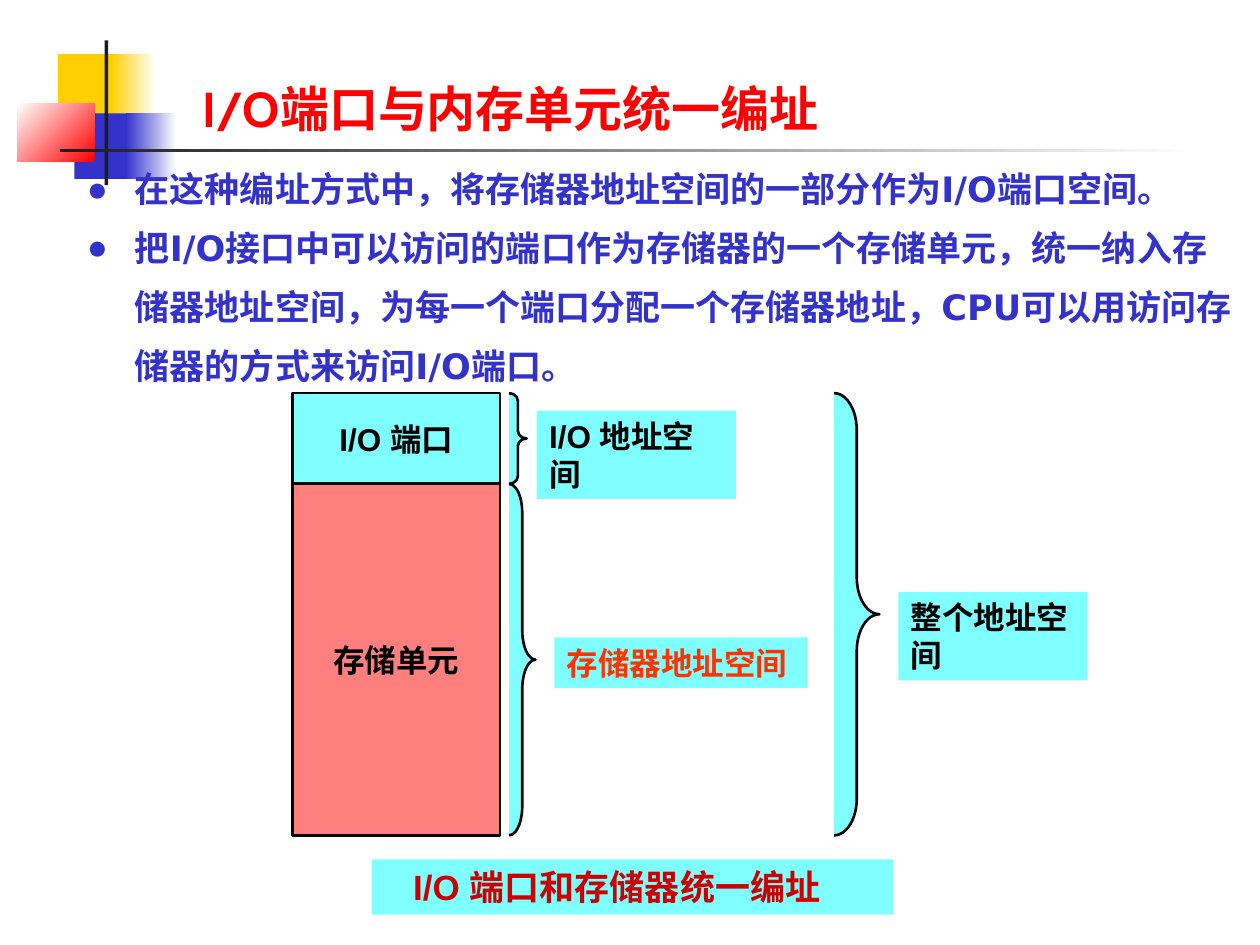
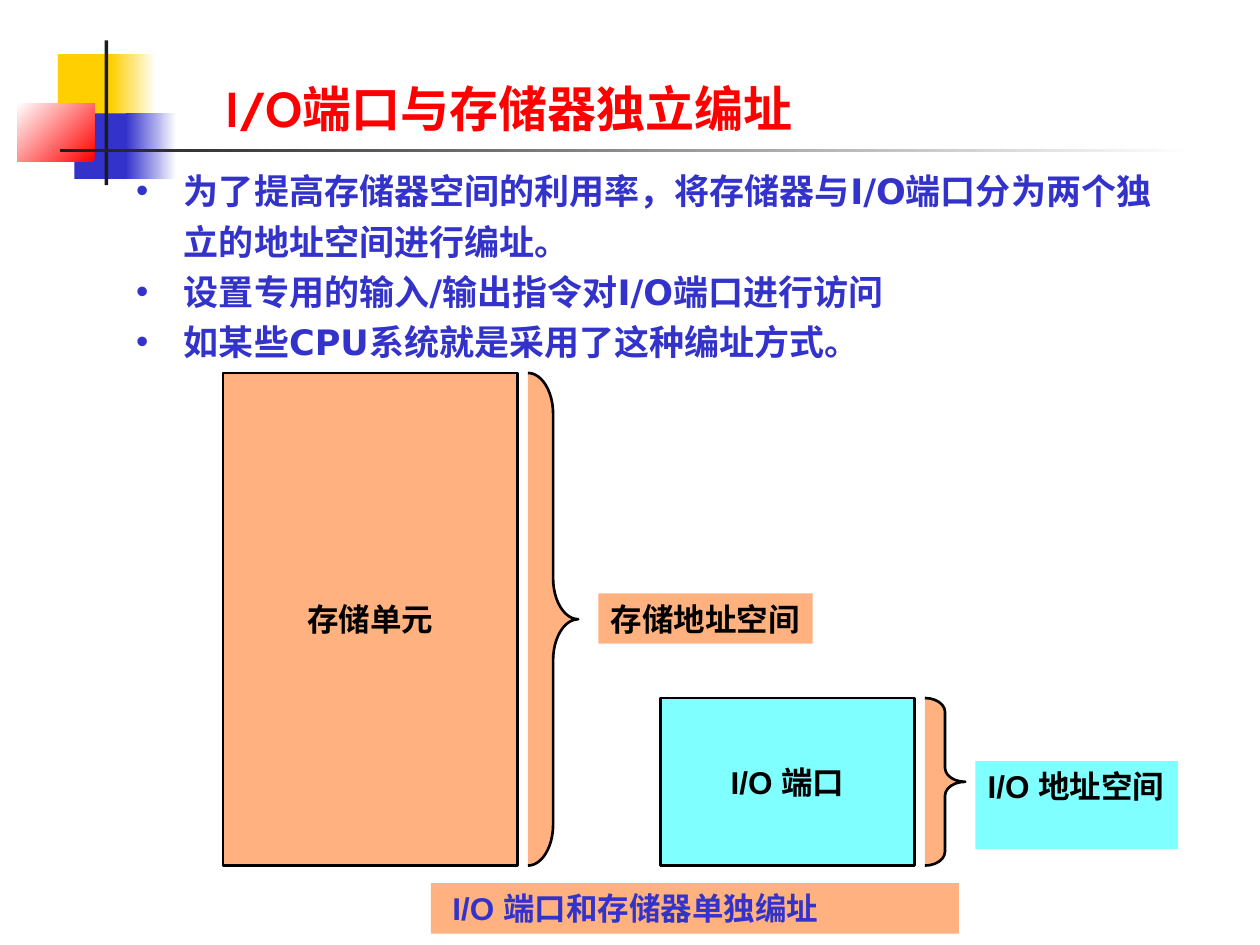
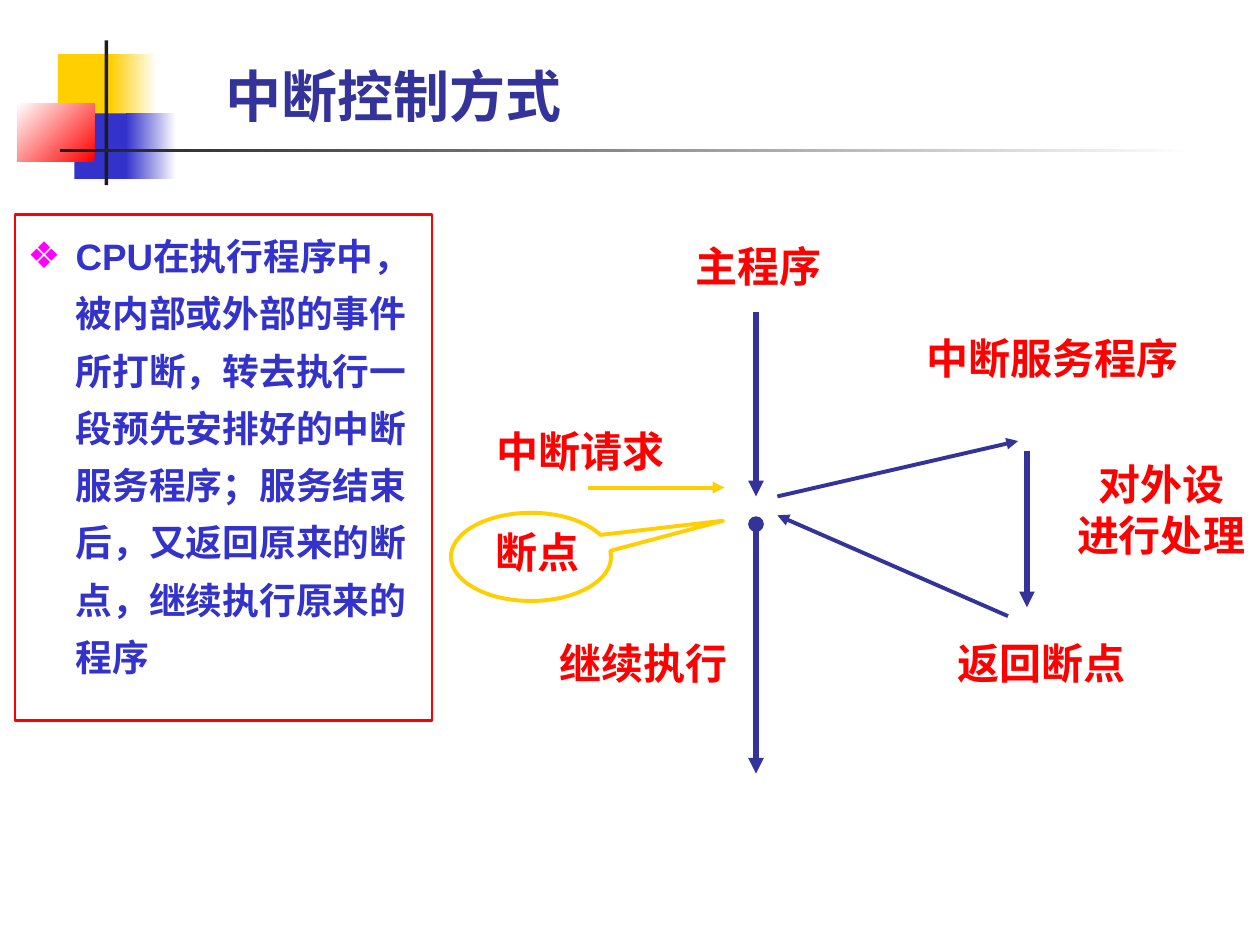
"""Build three slides on I/O port addressing and interrupt control."""
from lxml.etree import SubElement
from pptx import Presentation
from pptx.dml.color import RGBColor
from pptx.enum.shapes import MSO_CONNECTOR, MSO_SHAPE
from pptx.enum.text import MSO_ANCHOR, MSO_AUTO_SIZE, PP_ALIGN
from pptx.oxml.ns import qn
from pptx.util import Inches, Pt

RECTANGLE = MSO_SHAPE.RECTANGLE
RIGHT_BRACE = MSO_SHAPE.RIGHT_BRACE
CALLOUT = MSO_SHAPE.OVAL_CALLOUT
STRAIGHT = MSO_CONNECTOR.STRAIGHT
TOP, MIDDLE, BOTTOM = MSO_ANCHOR.TOP, MSO_ANCHOR.MIDDLE, MSO_ANCHOR.BOTTOM
LEFT, CENTER = PP_ALIGN.LEFT, PP_ALIGN.CENTER
NO_FIT = MSO_AUTO_SIZE.NONE

WHITE = RGBColor(0xFF, 0xFF, 0xFF)
BLACK = RGBColor(0, 0, 0)
INK = RGBColor(0x1C, 0x1C, 0x1C)
YELLOW = RGBColor(0xFF, 0xCF, 0x01)
BLUE = RGBColor(0x33, 0x33, 0xCC)
NAVY = RGBColor(0x33, 0x33, 0x99)
RED = RGBColor(0xFF, 0, 0)
DARK_RED = RGBColor(0xCC, 0, 0)
ORANGE_RED = RGBColor(0xFF, 0x33, 0)
ORANGE = RGBColor(0xFF, 0x66, 0)
CYAN = RGBColor(0, 0xFF, 0xFF)
MAGENTA = RGBColor(0xFF, 0, 0xFF)

CJK_FONT = "Noto Sans CJK SC"
ARIAL, CABIN, DEJAVU = "Arial", "Cabin", "DejaVu Sans"


def place(shape, at):
    for name, value in zip(("left", "top", "width", "height"), at):
        setattr(shape, name, Inches(value))


class Deck:
    def __init__(self):
        self.deck = Presentation()
        self.deck.slide_width = Inches(10)
        self.deck.slide_height = Inches(7.5)
        self.page = None

    def add_page(self):
        self.page = self.deck.slides.add_slide(self.deck.slide_layouts[1])

    def set_text(self, shape, text, font, size, color, align=LEFT, anchor=TOP,
                 wrap=True, indent=0.1):
        frame = shape.text_frame
        settings = {
            "auto_size": NO_FIT, "word_wrap": wrap, "vertical_anchor": anchor,
            "margin_left": Inches(indent), "margin_right": Inches(0.1),
            "margin_top": Inches(0.05), "margin_bottom": Inches(0.05),
        }
        for name, value in settings.items():
            setattr(frame, name, value)
        for number, line in enumerate(text.split("\n")):
            para = frame.add_paragraph() if number else frame.paragraphs[0]
            para.alignment = align
            para.space_before = Pt(0)
            span = para.add_run()
            span.text = line
            for name, value in {"name": font, "size": Pt(size), "bold": True}.items():
                setattr(span.font, name, value)
            span.font.color.rgb = color
            SubElement(span._r.get_or_add_rPr(), qn("a:ea"), typeface=CJK_FONT)

    def shape(self, kind, at, fill=None, line=None, weight=1.5, alpha=None):
        shape = self.page.shapes.add_shape(kind, *map(Inches, at))
        shape.shadow.inherit = False
        if fill is None:
            shape.fill.background()
        else:
            shape.fill.solid()
            shape.fill.fore_color.rgb = fill
        if alpha:
            color = shape.element.spPr.find(qn("a:solidFill"))[0]
            SubElement(color, qn("a:alpha"), val=str(alpha * 1000))
        if line is None:
            shape.line.fill.background()
        else:
            shape.line.color.rgb = line
            shape.line.width = Pt(weight)
        return shape

    def fade(self, at, start, end, angle=180):
        shape = self.shape(RECTANGLE, at, WHITE)
        shape.fill.gradient()
        shape.fill.gradient_angle = angle
        for stop, color in zip(shape.fill.gradient_stops, (start, end)):
            stop.color.rgb = color
        return shape

    def decorate_master(self):
        marks = [
            self.shape(RECTANGLE, (0.46, 0.43, 0.48, 0.52), YELLOW),
            self.fade((0.88, 0.43, 0.36, 0.52), WHITE, YELLOW),
            self.shape(RECTANGLE, (0.59, 0.9, 0.46, 0.52), BLUE),
            self.fade((1, 0.9, 0.4, 0.52), WHITE, BLUE),
            self.fade((0.14, 0.82, 0.61, 0.46), RED, WHITE, 135),
            self.shape(RECTANGLE, (0.83, 0.32, 0.03, 1.15), INK),
            self.fade((0.48, 1.18, 9, 0.03), WHITE, INK),
        ]
        tree = self.deck.slide_master.shapes.element
        for number, mark in enumerate(marks, 20):
            mark.element.xpath(".//p:cNvPr")[0].set("id", str(number))
            tree.append(mark.element)

    def title(self, text, at, font=CABIN, size=28, color=RED, anchor=BOTTOM):
        title = self.page.shapes.title
        place(title, at)
        self.set_text(title, text, font, size, color, anchor=anchor)

    def bullets(self, lines, at, spacing, char, bullet_color=BLUE, font=DEJAVU, size=20):
        body = self.page.placeholders[1]
        place(body, at)
        self.set_text(body, "\n".join(lines), font, size, BLUE)
        for para in body.text_frame.paragraphs:
            para.line_spacing = spacing
            props = para._p.get_or_add_pPr()
            props.set("marL", str(Inches(0.38)))
            props.set("indent", str(-Inches(0.38)))
            color = SubElement(props, qn("a:buClr"))
            SubElement(color, qn("a:srgbClr"), val=str(bullet_color))
            SubElement(props, qn("a:buChar"), char=char)
        return body

    def block(self, text, at, fill):
        block = self.shape(RECTANGLE, at, fill, BLACK, alpha=50)
        self.set_text(block, text, ARIAL, 18, BLACK, CENTER, MIDDLE, wrap=False)

    def label(self, text, at, fill, color=BLACK, size=18, indent=0.1):
        label = self.shape(RECTANGLE, at, fill, alpha=50)
        self.set_text(label, text, ARIAL, size, color, indent=indent)

    def brace(self, at, fill):
        brace = self.shape(RIGHT_BRACE, at, fill, BLACK, alpha=50)
        brace.adjustments[0] = at[3] / at[2] / 12

    def caption(self, text, at):
        box = self.page.shapes.add_textbox(*map(Inches, at))
        self.set_text(box, text, CABIN, 24, RED, CENTER, MIDDLE, wrap=False)

    def arrow(self, start, end, color=NAVY, weight=2.25, head=None):
        arrow = self.page.shapes.add_connector(STRAIGHT, *map(Inches, start + end))
        arrow.line.color.rgb = color
        arrow.line.width = Pt(weight)
        line = arrow.element.spPr.find(qn("a:ln"))
        if head:
            SubElement(line, qn("a:headEnd"), type=head)
        SubElement(line, qn("a:tailEnd"), type="triangle")
        SubElement(arrow.element.spPr, qn("a:effectLst"))


def unified_addressing(deck):
    deck.title("I/O端口与内存单元统一编址", (1.51, 0.52, 5.38, 0.62))
    deck.bullets([
        "在这种编址方式中，将存储器地址空间的一部分作为I/O端口空间。",
        "把I/O接口中可以访问的端口作为存储器的一个存储单元，统一纳入存储器地址空间，"
        "为每一个端口分配一个存储器地址，CPU可以用访问存储器的方式来访问I/O端口。",
    ], (0.59, 1.15, 9.29, 1.97), 1.4, "●")
    top, port_height, memory_height = 3.12, 0.72, 2.79
    middle = top + port_height
    deck.block("I/O 端口", (2.32, top, 1.65, port_height), CYAN)
    deck.block("存储单元", (2.32, middle, 1.65, memory_height), RED)
    deck.brace((4.04, top, 0.14, port_height), CYAN)
    deck.brace((4.04, middle, 0.21, memory_height), CYAN)
    deck.brace((6.62, top, 0.36, port_height + memory_height), CYAN)
    deck.label("I/O 地址空间", (4.26, 3.26, 1.58, 0.7), CYAN)
    deck.label("存储器地址空间", (4.4, 5.06, 2.01, 0.4), CYAN, ORANGE_RED)
    deck.label("整个地址空间", (7.13, 4.7, 1.5, 0.7), CYAN)
    deck.label("I/O 端口和存储器统一编址", (2.95, 6.82, 4.14, 0.44), CYAN,
               DARK_RED, 20, 0.33)


def separate_addressing(deck):
    deck.title("I/O端口与存储器独立编址", (1.69, 0.52, 5.04, 0.62))
    deck.bullets([
        "为了提高存储器空间的利用率，将存储器与I/O端口分为两个独立的地址空间进行编址。",
        "设置专用的输入/输出指令对I/O端口进行访问",
        "如某些CPU系统就是采用了这种编址方式。",
    ], (0.98, 1.23, 8.51, 1.7), 1.2, "•")
    deck.brace((4.19, 2.96, 0.4, 3.91), ORANGE)
    deck.block("存储单元", (1.77, 2.96, 2.34, 3.91), ORANGE)
    deck.label("存储地址空间", (4.75, 4.71, 1.7, 0.4), ORANGE)
    deck.block("I/O 端口", (5.24, 5.54, 2.02, 1.33), CYAN)
    deck.brace((7.34, 5.54, 0.32, 1.33), ORANGE)
    deck.label("I/O 地址空间", (7.74, 6.04, 1.61, 0.7), CYAN)
    deck.label("I/O 端口和存储器单独编址", (3.42, 7.01, 4.19, 0.4), ORANGE,
               BLUE, indent=0.17)


def interrupt_control(deck):
    deck.title("中断控制方式", (1.69, 0.44, 3.23, 0.64), CJK_FONT, 32, NAVY, TOP)
    body = deck.bullets([
        "CPU在执行程序中，被内部或外部的事件所打断，转去执行一段预先安排好的"
        "中断服务程序；服务结束后，又返回原来的断点，继续执行原来的程序",
    ], (0.12, 1.7, 3.31, 4.02), 1.3, "❖", MAGENTA, ARIAL, 21)
    body.fill.solid()
    body.fill.fore_color.rgb = WHITE
    body.line.color.rgb = RED
    body.line.width = Pt(1.5)

    deck.arrow((6, 2.48), (6, 3.94), weight=3)
    deck.arrow((6, 4.16), (6, 6.14), weight=3, head="oval")
    deck.arrow((8.15, 3.58), (8.15, 4.82), weight=3)
    deck.arrow((4.67, 3.87), (5.75, 3.87), YELLOW)
    deck.arrow((6.17, 3.94), (8.08, 3.5))
    deck.arrow((8, 4.89), (6.17, 4.09))
    callout = deck.shape(CALLOUT, (3.58, 4.07, 1.27, 0.7), line=YELLOW, weight=2.25)
    callout.adjustments[0] = 1.2
    callout.adjustments[1] = -0.41
    for text, at in (
        ("断点", (3.84, 4.13, 0.86, 0.5)),
        ("主程序", (5.42, 1.86, 1.2, 0.5)),
        ("中断服务程序", (7.25, 2.59, 2.2, 0.5)),
        ("中断请求", (3.84, 3.33, 1.53, 0.5)),
        ("对外设\n进行处理", (8.45, 3.59, 1.53, 0.9)),
        ("继续执行", (4.34, 5.01, 1.53, 0.5)),
        ("返回断点", (7.5, 5.01, 1.53, 0.5)),
    ):
        deck.caption(text, at)


def main():
    deck = Deck()
    for number, build in enumerate((unified_addressing, separate_addressing, interrupt_control)):
        deck.add_page()
        if number == 0:
            deck.decorate_master()
        build(deck)
    deck.deck.save("out.pptx")


if __name__ == "__main__":
    main()
